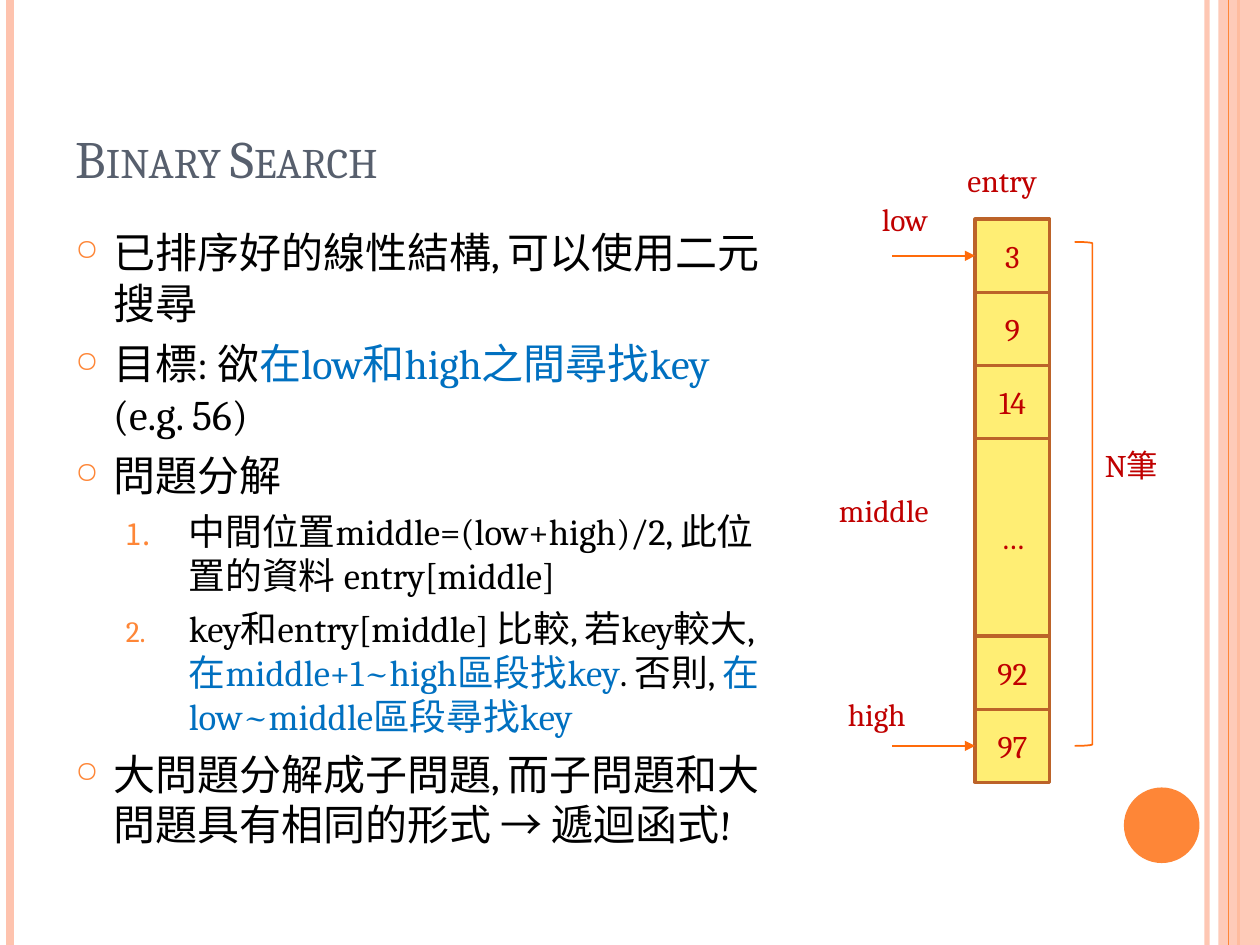
from lxml.etree import SubElement
from pptx import Presentation
from pptx.dml.color import RGBColor
from pptx.enum.shapes import MSO_CONNECTOR, MSO_SHAPE
from pptx.enum.text import MSO_ANCHOR, MSO_AUTO_SIZE, PP_ALIGN
from pptx.oxml.ns import qn
from pptx.util import Inches, Pt

COLORS = {
    "peach": "FEC3AE", "orange": "FE8637", "arrow": "FF6B0A", "title": "575F6D",
    "text": "000000", "blue": "0070C0", "red": "C00000",
    "cell": "FFEE74", "edge": "BC6329",
}
FONT = "Cambria"
LEVELS = [
    {"size": 24, "margin": 0.3, "hanging": -0.3, "before": 6, "bullet_size": "70000",
     "bullet": ("a:buChar", {"char": "○"})},
    {"size": 21, "margin": 0.9, "hanging": -0.5, "before": 5, "bullet_size": "80000",
     "bullet": ("a:buAutoNum", {"type": "arabicPeriod"})},
]
POINTS = [
    (0, [("已排序好的線性結構, 可以使用二元搜尋", "text")]),
    (0, [("目標: 欲", "text"), ("在low和high之間尋找key ", "blue"), ("(e.g. 56)", "text")]),
    (0, [("問題分解", "text")]),
    (1, [("中間位置middle=(low+high)/2, 此位置的資料 entry[middle]", "text")]),
    (1, [("key和entry[middle] 比較, 若key較大, ", "text"),
         ("在middle+1~high區段找key", "blue"), (". 否則, ", "text"),
         ("在low~middle區段尋找key", "blue")]),
    (0, [("大問題分解成子問題, 而子問題和大問題具有相同的形式 → 遞迴函式!", "text")]),
]


def color(name):
    """Return the named colour."""
    return RGBColor.from_string(COLORS[name])


def set_alpha(fill, percent):
    """Make a solid fill partly transparent."""
    tint = fill._xPr.find(qn("a:solidFill"))[0]
    SubElement(tint, qn("a:alpha"), val=str(percent * 1000))


def add_span(para, text, size, tint):
    """Add one formatted run."""
    span = para.add_run()
    span.text = text
    for name, value in {"name": FONT, "size": Pt(size)}.items():
        setattr(span.font, name, value)
    span.font.color.rgb = color(tint)
    return span


def add_line(page, start, end, tint, width, alpha=100, arrow=False):
    """Draw a straight line, with an arrowhead if asked."""
    line = page.shapes.add_connector(
        MSO_CONNECTOR.STRAIGHT, *(Inches(value) for value in (*start, *end)))
    line.line.width = Pt(width)
    line.line.color.rgb = color(tint)
    if alpha < 100:
        set_alpha(line.line.fill, alpha)
    if arrow:
        SubElement(line.line._get_or_add_ln(), qn("a:tailEnd"), type="triangle")
    SubElement(line._element.spPr, qn("a:effectLst"))


def add_block(page, kind, place, fill=None, edge=None, width=1):
    """Add a flat preset shape."""
    block = page.shapes.add_shape(kind, *map(Inches, place))
    block.shadow.inherit = False
    if fill:
        block.fill.solid()
        block.fill.fore_color.rgb = color(fill)
    else:
        block.fill.background()
    if edge:
        block.line.color.rgb = color(edge)
        block.line.width = Pt(width)
    else:
        block.line.fill.background()
    return block


def add_frame(page, height):
    """Draw the side stripes and the corner disc."""
    for x, tint, width, alpha in [(9.58, "peach", 3, 93), (0.08, "peach", 4.5, 100),
                                  (9.83, "orange", 1.5, 100)]:
        add_line(page, (x, 0), (x, height), tint, width, alpha)
    band = add_block(page, MSO_SHAPE.RECTANGLE, (9.67, 0, 0.33, height), "peach")
    set_alpha(band.fill, 87)
    add_line(page, (9.75, 0), (9.75, height), "orange", 0.75)
    add_block(page, MSO_SHAPE.OVAL, (8.92, 6.25, 0.6, 0.6), "orange")


def add_title(page, left, top, width, height):
    """Place the title in small capitals."""
    box = page.shapes.title
    for name, value in {"left": left, "top": top, "width": width, "height": height}.items():
        setattr(box, name, Inches(value))
    frame = box.text_frame
    for name, value in {"vertical_anchor": MSO_ANCHOR.BOTTOM, "word_wrap": True,
                        "auto_size": MSO_AUTO_SIZE.NONE}.items():
        setattr(frame, name, value)
    para = frame.paragraphs[0]
    para.alignment = PP_ALIGN.LEFT
    span = add_span(para, "Binary Search", 30, "title")
    span.font._element.set("cap", "small")


def add_points(page, left, top, width, height):
    """Write the bulleted and numbered points."""
    box = page.shapes.add_textbox(*map(Inches, (left, top, width, height)))
    frame = box.text_frame
    frame.word_wrap = True
    for index, (level, spans) in enumerate(POINTS):
        para = frame.add_paragraph() if index else frame.paragraphs[0]
        style = LEVELS[level]
        para.level = level
        para.space_before = Pt(style["before"])
        props = para._p.get_or_add_pPr()
        props.set("marL", str(Inches(style["margin"])))
        props.set("indent", str(Inches(style["hanging"])))
        tint = SubElement(props, qn("a:buClr"))
        SubElement(tint, qn("a:srgbClr"), val=COLORS["orange"])
        SubElement(props, qn("a:buSzPct"), val=style["bullet_size"])
        tag, values = style["bullet"]
        SubElement(props, qn(tag), values)
        for text, name in spans:
            add_span(para, text, style["size"], name)


def add_label(page, text, left, top, width):
    """Add a red caption."""
    box = page.shapes.add_textbox(*map(Inches, (left, top, width, 0.4)))
    box.text_frame.word_wrap = True
    add_span(box.text_frame.paragraphs[0], text, 18, "red")


def add_array(page, left, top):
    """Draw the entry array with its pointers, bracket and captions."""
    side = 0.58
    cell_top = top
    for text, height in [("3", side), ("9", side), ("14", side), ("…", 1.57),
                         ("92", side), ("97", side)]:
        cell = add_block(page, MSO_SHAPE.RECTANGLE, (left, cell_top, 0.59, height),
                         "cell", "edge", 2)
        cell.text_frame.vertical_anchor = MSO_ANCHOR.MIDDLE
        para = cell.text_frame.paragraphs[0]
        para.alignment = PP_ALIGN.CENTER
        add_span(para, text, 18, "red")
        cell_top += height
    for y in (top + 0.29, cell_top - 0.29):
        add_line(page, (left - 0.66, y), (left, y), "arrow", 1, arrow=True)
    add_block(page, MSO_SHAPE.RIGHT_BRACKET, (left + 0.79, top + 0.18, 0.14, 4),
              edge="arrow")
    for text, x, y, width in [("N筆", 0.93, 1.75, 1.25), ("low", -0.84, -0.2, 0.63),
                              ("high", -1.11, 3.73, 1.08),
                              ("middle", -1.18, 2.11, 1.08),
                              ("entry", -0.16, -0.51, 1.03)]:
        add_label(page, text, left + x, top + y, width)


deck = Presentation()
deck.slide_width, deck.slide_height = Inches(10), Inches(7.5)
page = deck.slides.add_slide(deck.slide_layouts[5])
add_frame(page, 7.5)
add_title(page, 0.5, 0.3, 8.17, 1.25)
add_points(page, 0.5, 1.75, 5.84, 5.33)
add_array(page, 7.74, 1.74)
deck.save("out.pptx")
